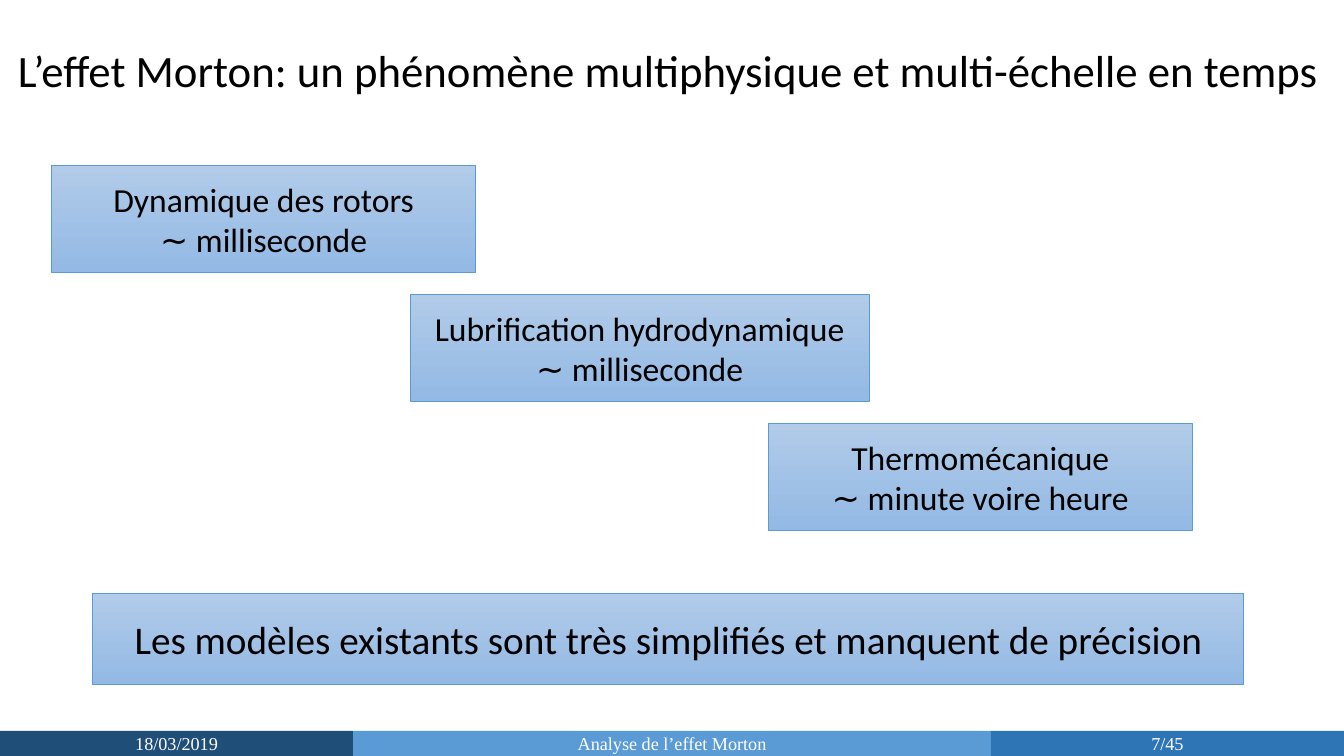
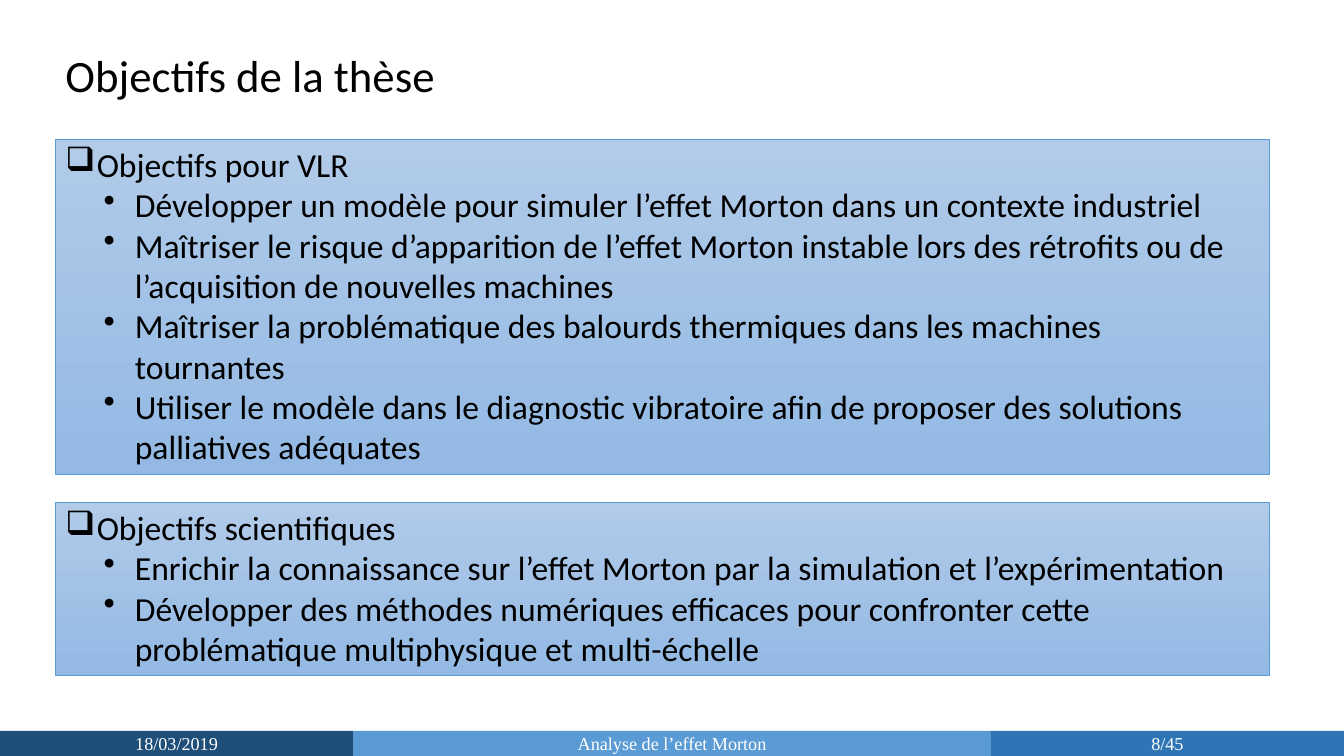
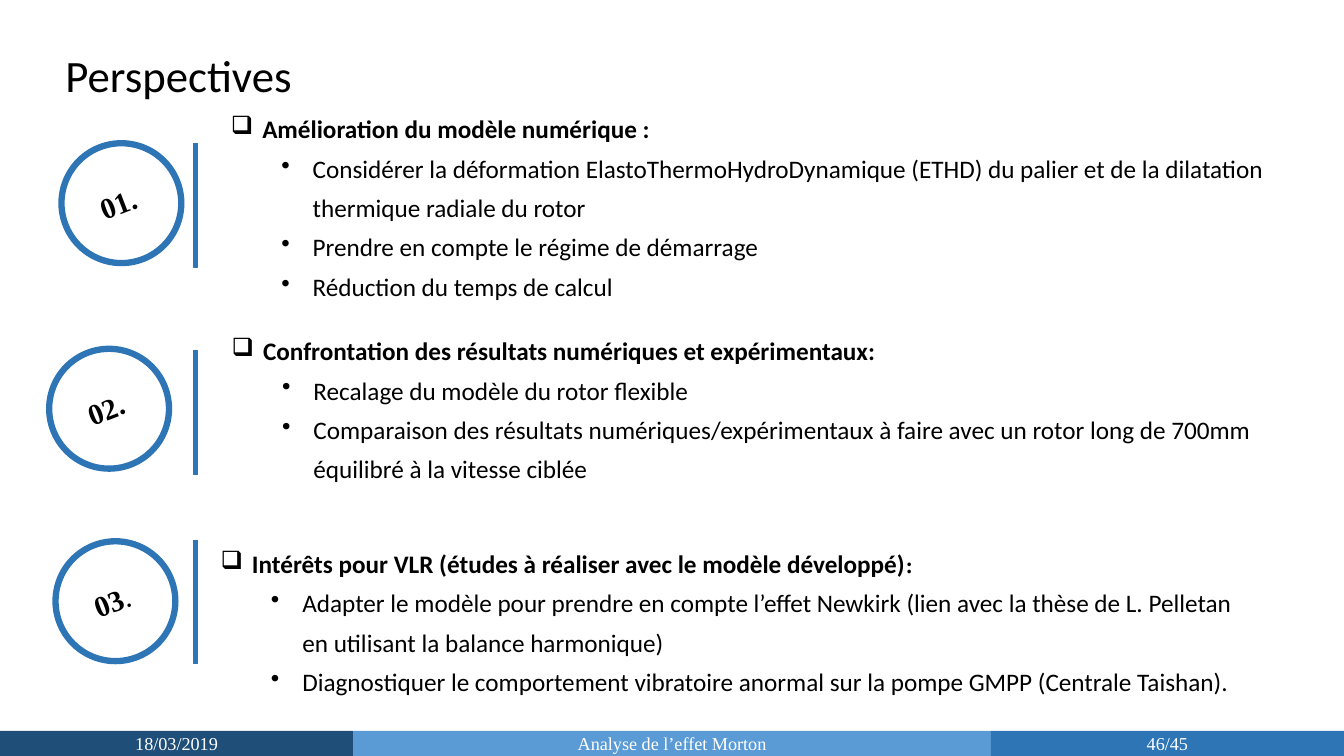
from lxml import etree
from pptx import Presentation
from pptx.dml.color import RGBColor
from pptx.enum.shapes import MSO_SHAPE
from pptx.enum.text import MSO_ANCHOR, PP_ALIGN
from pptx.oxml.ns import qn
from pptx.util import Cm, Pt

RECT, OVAL = MSO_SHAPE.RECTANGLE, MSO_SHAPE.OVAL
TOP, MIDDLE = MSO_ANCHOR.TOP, MSO_ANCHOR.MIDDLE
LEFT, CENTER = PP_ALIGN.LEFT, PP_ALIGN.CENTER

# Shared colours and text styles
BLACK = RGBColor(0x00, 0x00, 0x00)
WHITE = RGBColor(0xFF, 0xFF, 0xFF)
NAVY = RGBColor(0x1F, 0x4E, 0x79)
BLUE = RGBColor(0x2E, 0x75, 0xB6)
SKY = RGBColor(0x5B, 0x9B, 0xD5)
PANEL_TOP = RGBColor(0xB1, 0xCB, 0xE9)
PANEL_BOTTOM = RGBColor(0x93, 0xB9, 0xE4)

SANS, SERIF = "Calibri", "Times New Roman"
TITLE = {"name": SANS, "size": Pt(32)}
CONCLUSION = {"name": SANS, "size": Pt(28)}
BODY = {"name": SANS, "size": Pt(24)}
DETAIL = {"name": SANS, "size": Pt(18)}
HEADING = {**DETAIL, "bold": True}
NUMBER = {"name": SERIF, "size": Pt(21), "bold": True}
FOOTER = {"name": SERIF, "size": Pt(13)}

SLIDE_W, SLIDE_H = 33.87, 19.05
DATE, TALK, PAGE_COUNT = "18/03/2019", "Analyse de l’effet Morton", 45
HANGING = 0.79


def place(box):
    return [Cm(length) for length in box]


def write(paragraph, text, style, color=BLACK):
    """Add one run in the given style."""
    run = paragraph.add_run()
    run.text = text
    for attribute, value in style.items():
        setattr(run.font, attribute, value)
    run.font.color.rgb = color


def paragraphs(frame, count):
    return [frame.paragraphs[0]] + [frame.add_paragraph() for _ in range(count - 1)]


def write_lines(frame, lines, style, align=LEFT, color=BLACK):
    frame.word_wrap = True
    for paragraph, line in zip(paragraphs(frame, len(lines)), lines):
        paragraph.alignment = align
        write(paragraph, line, style, color)


def add_bullet(paragraph, symbol, indent):
    properties = paragraph._p.get_or_add_pPr()
    properties.set("marL", str(Cm(indent)))
    properties.set("indent", str(-Cm(HANGING)))
    etree.SubElement(properties, qn("a:buChar")).set("char", symbol)


def write_outline(frame, heading, items, heading_style, item_style, indent, spacing=1.0):
    """Square-bulleted heading (a list of runs) followed by round-bulleted items."""
    frame.word_wrap = True
    first, *others = paragraphs(frame, len(items) + 1)
    add_bullet(first, "❑", HANGING)
    for text, changes in heading:
        write(first, text, {**heading_style, **changes})
    for paragraph, item in zip(others, items):
        paragraph.level = 1
        add_bullet(paragraph, "•", indent)
        write(paragraph, item, item_style)
    for paragraph in [first, *others]:
        paragraph.alignment = LEFT
        paragraph.line_spacing = spacing


def add_solid(shapes, kind, box, fill, line=None, width=0.75):
    shape = shapes.add_shape(kind, *place(box))
    shape.shadow.inherit = False
    shape.fill.solid()
    shape.fill.fore_color.rgb = fill
    if line is None:
        shape.line.fill.background()
    else:
        shape.line.color.rgb = line
        shape.line.width = Pt(width)
    return shape


def add_panel(slide, box, anchor=MIDDLE):
    """Thin-bordered rectangle with a vertical gradient; returns its text frame."""
    panel = add_solid(slide.shapes, RECT, box, SKY, SKY, 0.5)
    panel.fill.gradient()
    panel.fill.gradient_angle = 270
    for stop, color, position in zip(panel.fill.gradient_stops,
                                     (PANEL_TOP, PANEL_BOTTOM), (0, 1)):
        stop.color.rgb = color
        stop.position = position
    panel.text_frame.vertical_anchor = anchor
    return panel.text_frame


def add_footer(slide, page):
    top, height, side = 18.42, 0.63, 8.9
    middle = SLIDE_W - 2 * side
    bands = [(0, side, NAVY, DATE),
             (side, middle, SKY, TALK),
             (side + middle, side, BLUE, f"{page}/{PAGE_COUNT}")]
    for left, width, color, text in bands:
        band = add_solid(slide.shapes, RECT, (left, top, width, height), color)
        band.text_frame.vertical_anchor = MIDDLE
        write_lines(band.text_frame, [text], FOOTER, CENTER, WHITE)


def add_slide(deck, title, page, title_box=(1.4, 1.09, 24.38, 1.63)):
    slide = deck.slides.add_slide(deck.slide_layouts[6])
    add_footer(slide, page)
    frame = slide.shapes.add_textbox(*place(title_box)).text_frame
    write_lines(frame, [title], TITLE)
    return slide


def scales_slide(deck):
    slide = add_slide(deck, "L’effet Morton: un phénomène multiphysique et multi-échelle en temps",
                      7, (0.2, 0.94, 33.66, 1.63))
    # Staircase of physics and their time scales
    left, top, step_x, step_y, height = 1.3, 4.17, 9.03, 3.25, 2.69
    steps = [(10.69, "Dynamique des rotors", "∼ milliseconde"),
             (11.58, "Lubrification hydrodynamique", "∼ milliseconde"),
             (10.69, "Thermomécanique", "∼ minute voire heure")]
    for i, (width, *lines) in enumerate(steps):
        frame = add_panel(slide, (left + i * step_x, top + i * step_y, width, height))
        write_lines(frame, lines, BODY, CENTER)
    # Conclusion
    frame = add_panel(slide, (2.34, 14.96, 29, 2.29))
    write_lines(frame, ["Les modèles existants sont très simplifiés et manquent de précision"],
                CONCLUSION, CENTER)


def goals_slide(deck):
    slide = add_slide(deck, "Objectifs de la thèse", 8)
    goals = [
        (3.5, 8.46, "Objectifs pour VLR", [
            "Développer un modèle pour simuler l’effet Morton dans un contexte industriel",
            "Maîtriser le risque d’apparition de l’effet Morton instable lors des rétrofits "
            "ou de l’acquisition de nouvelles machines",
            "Maîtriser la problématique des balourds thermiques dans les machines tournantes",
            "Utiliser le modèle dans le diagnostic vibratoire afin de proposer des solutions "
            "palliatives adéquates"]),
        (12.65, 4.37, "Objectifs scientifiques", [
            "Enrichir la connaissance sur l’effet Morton par la simulation et l’expérimentation",
            "Développer des méthodes numériques efficaces pour confronter cette "
            "problématique multiphysique et multi-échelle"]),
    ]
    for top, height, heading, items in goals:
        frame = add_panel(slide, (1.4, top, 30.58, height), TOP)
        write_outline(frame, [(heading, {})], items, BODY, BODY, 1.75)


def add_badge(slide, left, top, runs):
    """Ringed, tilted number."""
    badge = slide.shapes.add_group_shape().shapes
    add_solid(badge, OVAL, (left, top, 3.02, 3.02), WHITE, BLUE, 4.5)
    number = badge.add_textbox(*place((left - 0.13, top + 0.94, 3.1, 1.14)))
    number.rotation = 338.9
    number.text_frame.word_wrap = True
    paragraph = number.text_frame.paragraphs[0]
    paragraph.alignment = CENTER
    for text, changes in runs:
        write(paragraph, text, {**NUMBER, **changes})


def add_perspective(slide, badge, bar_top, box, number, heading, items):
    """Number, vertical bar and outline of one perspective."""
    add_badge(slide, *badge, number)
    add_solid(slide.shapes, RECT, (4.88, bar_top, 0.1, 3.12), BLUE, BLUE)
    frame = slide.shapes.add_textbox(*place(box)).text_frame
    margins = {"margin_left": 0.23, "margin_right": 0.23,
               "margin_top": 0.1, "margin_bottom": 0.1}
    for side, length in margins.items():
        setattr(frame, side, Cm(length))
    write_outline(frame, heading, items, HEADING, DETAIL, 2.06, 1.3)


def perspectives_slide(deck):
    slide = add_slide(deck, "Perspectives", 46)
    add_perspective(
        slide, (1.55, 3.61), 3.61, (5.59, 2.54, 26.97, 5.23),
        [("01.", {})], [("Amélioration du modèle numérique :", {})],
        ["Considérer la déformation ElastoThermoHydroDynamique (ETHD) du palier et de la "
         "dilatation thermique radiale du rotor",
         "Prendre en compte le régime de démarrage",
         "Réduction du temps de calcul"])
    add_perspective(
        slide, (1.24, 8.79), 8.84, (5.61, 8.13, 26.95, 4.22),
        [("02.", {})], [("Confrontation des résultats numériques et expérimentaux:", {})],
        ["Recalage du modèle du rotor flexible",
         "Comparaison des résultats numériques/expérimentaux à faire avec un rotor long de "
         "700mm équilibré à la vitesse ciblée"])
    add_perspective(
        slide, (1.4, 13.64), 13.61, (5.33, 13.49, 26.47, 5.23),
        [("03", {}), (".", {"name": SANS, "bold": False})],
        [("Intérêts pour VLR (études à réaliser avec le modèle développé)", {}),
         (":", {"name": SERIF, "size": Pt(16)})],
        ["Adapter le modèle pour prendre en compte l’effet Newkirk (lien avec la thèse de "
         "L. Pelletan en utilisant la balance harmonique)",
         "Diagnostiquer le comportement vibratoire anormal sur la pompe GMPP "
         "(Centrale Taishan)."])


def main():
    deck = Presentation()
    deck.slide_width, deck.slide_height = Cm(SLIDE_W), Cm(SLIDE_H)
    for build in (scales_slide, goals_slide, perspectives_slide):
        build(deck)
    deck.save("out.pptx")


if __name__ == "__main__":
    main()
